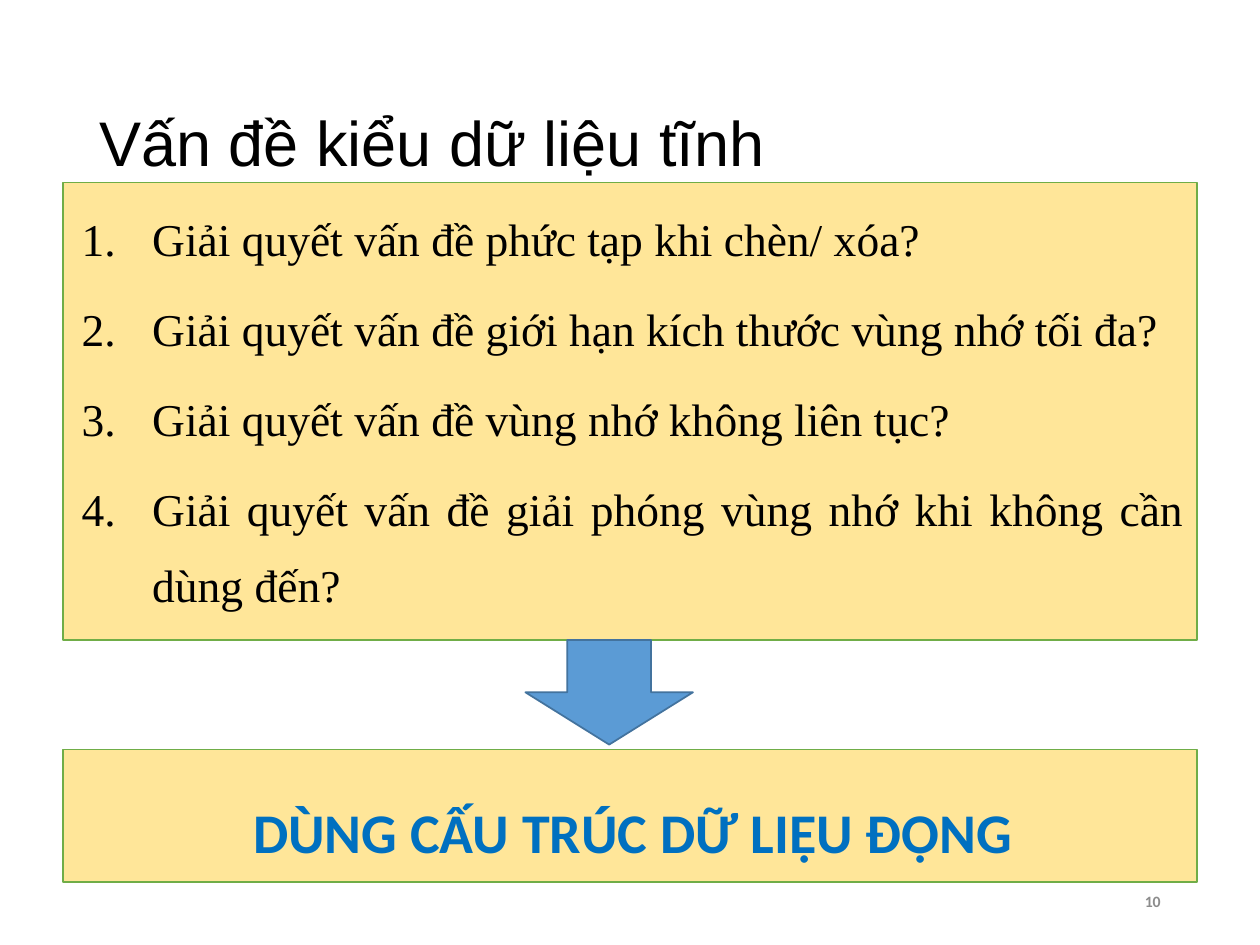
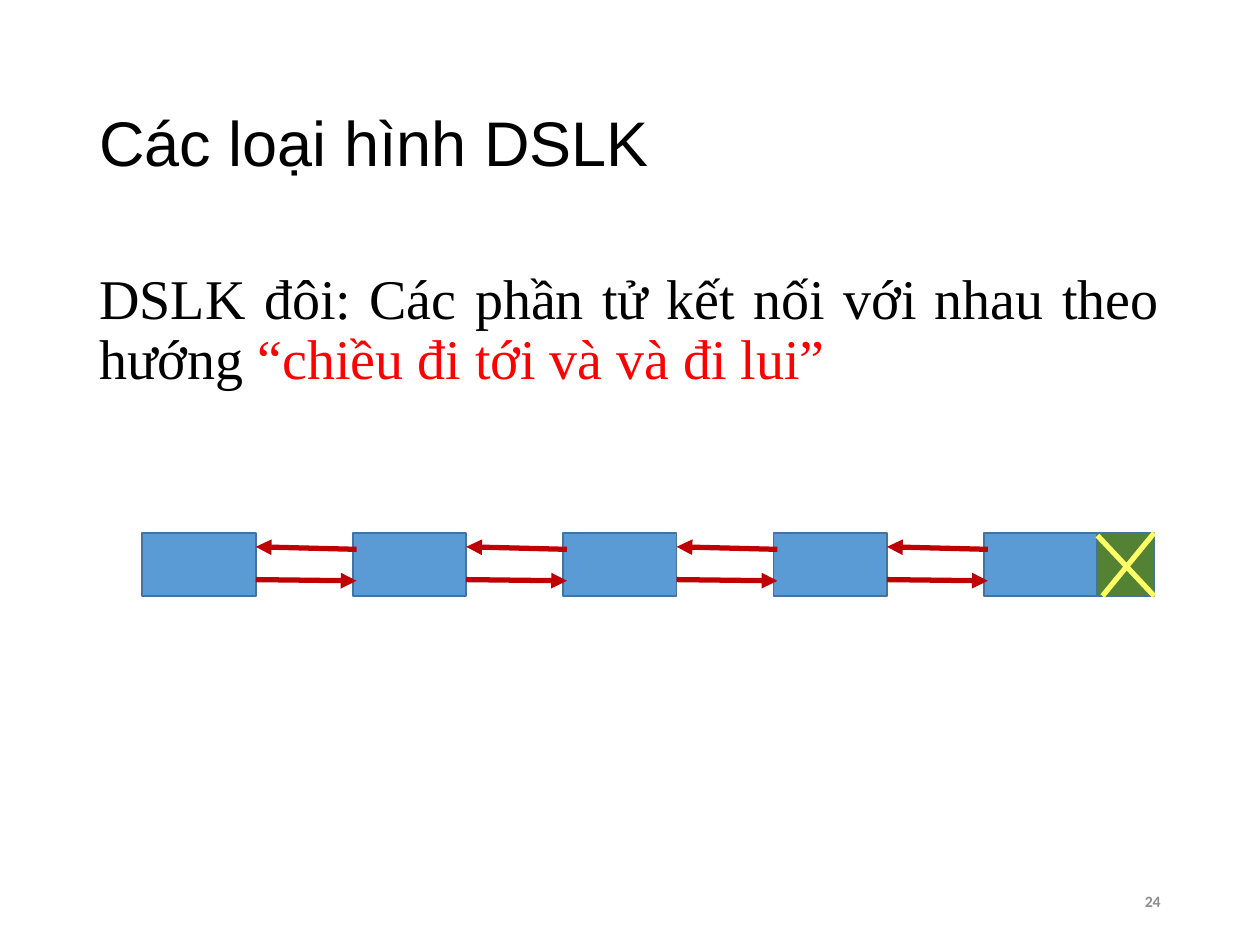
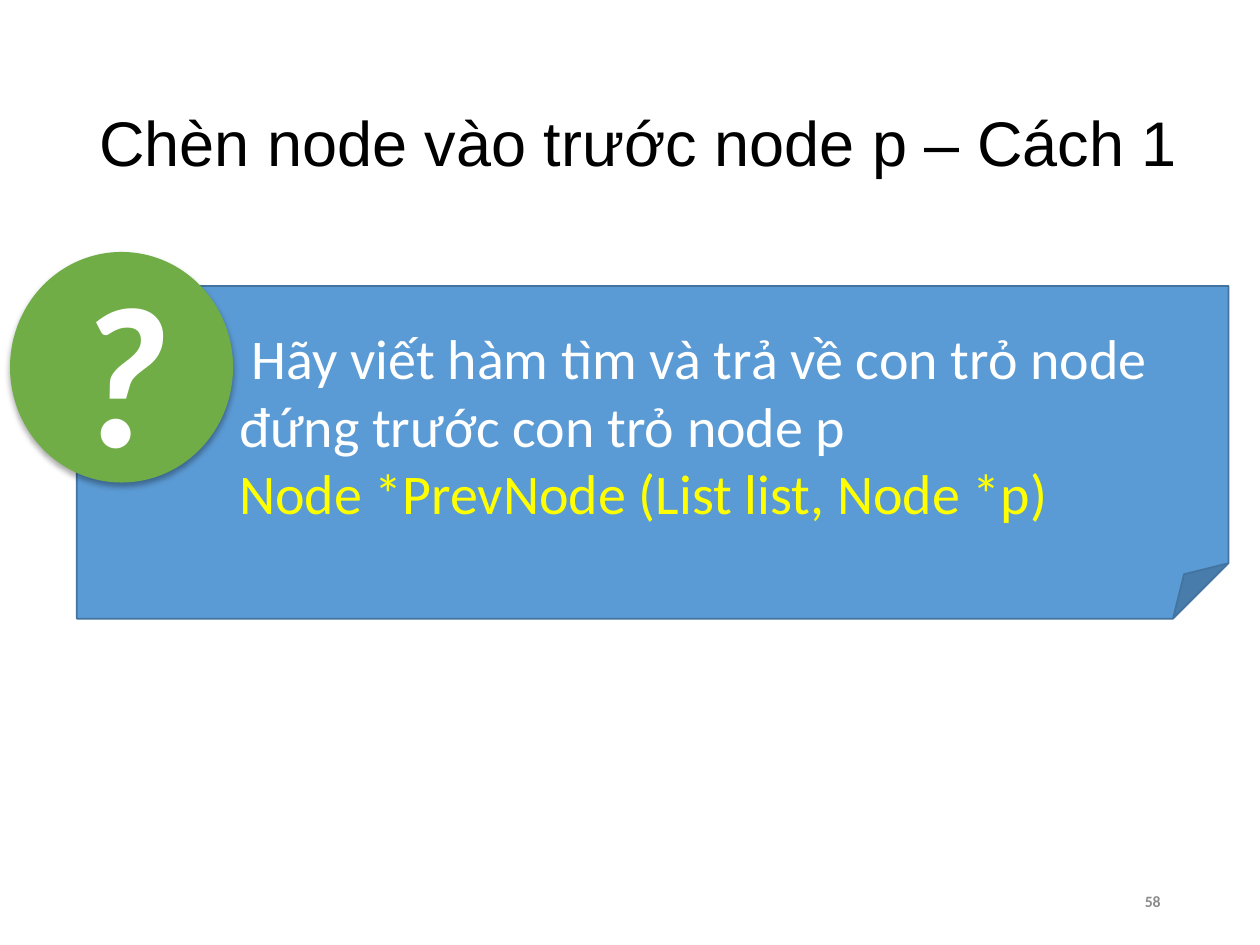
from lxml import etree
from pptx import Presentation
from pptx.dml.color import RGBColor
from pptx.enum.shapes import MSO_CONNECTOR, MSO_SHAPE
from pptx.enum.text import MSO_ANCHOR, PP_ALIGN
from pptx.oxml.ns import qn
from pptx.util import Inches, Pt

RECTANGLE, ELLIPSE = MSO_SHAPE.RECTANGLE, MSO_SHAPE.OVAL
DOWN_ARROW, FOLDED_CORNER = MSO_SHAPE.DOWN_ARROW, MSO_SHAPE.FOLDED_CORNER
STRAIGHT = MSO_CONNECTOR.STRAIGHT
TOP, MIDDLE = MSO_ANCHOR.TOP, MSO_ANCHOR.MIDDLE
LEFT, CENTER = PP_ALIGN.LEFT, PP_ALIGN.CENTER
RIGHT, JUSTIFY = PP_ALIGN.RIGHT, PP_ALIGN.JUSTIFY

BLACK = RGBColor(0x00, 0x00, 0x00)
WHITE = RGBColor(0xFF, 0xFF, 0xFF)
GRAY = RGBColor(0x8C, 0x8C, 0x8C)
SAND = RGBColor(0xFF, 0xE6, 0x99)
GREEN = RGBColor(0x70, 0xAD, 0x47)
DARK_GREEN = RGBColor(0x54, 0x82, 0x35)
BLUE = RGBColor(0x5B, 0x9B, 0xD5)
EDGE_BLUE = RGBColor(0x43, 0x73, 0x9E)
STRONG_BLUE = RGBColor(0x00, 0x70, 0xC0)
RED = RGBColor(0xFF, 0x00, 0x00)
DARK_RED = RGBColor(0xC0, 0x00, 0x00)
YELLOW = RGBColor(0xFF, 0xFF, 0x00)
PALE_YELLOW = RGBColor(0xFF, 0xFF, 0x66)

SANS, SERIF, TITLE_FONT = "Calibri", "Times New Roman", "Arial"

# The page is a grid of 10 columns by 7.5 rows.
COLUMNS, ROWS = 10, 7.5
SLIDE_WIDTH, SLIDE_HEIGHT = Inches(10), Inches(7.5)
MARGIN = 0.69
CONTENT_WIDTH = COLUMNS - 2 * MARGIN

QUESTIONS = [
    "Giải quyết vấn đề phức tạp khi chèn/ xóa?",
    "Giải quyết vấn đề giới hạn kích thước vùng nhớ tối đa?",
    "Giải quyết vấn đề vùng nhớ không liên tục?",
    "Giải quyết vấn đề giải phóng vùng nhớ khi không cần dùng đến?",
]


def across(columns):
    return round(SLIDE_WIDTH * columns / COLUMNS)


def down(rows):
    return round(SLIDE_HEIGHT * rows / ROWS)


def place(left, top, width, height):
    return across(left), down(top), across(width), down(height)


def add_box(shapes, area, anchor=TOP):
    box = shapes.add_textbox(*place(*area))
    box.text_frame.word_wrap = True
    box.text_frame.vertical_anchor = anchor
    return box


def add_block(shapes, kind, area, fill, edge=EDGE_BLUE, weight=1, anchor=MIDDLE):
    block = shapes.add_shape(kind, *place(*area))
    block.shadow.inherit = False
    block.fill.solid()
    block.fill.fore_color.rgb = fill
    if edge is None:
        block.line.fill.background()
    else:
        block.line.color.rgb = edge
        block.line.width = Pt(weight)
    block.text_frame.word_wrap = True
    block.text_frame.vertical_anchor = anchor
    return block


def add_line(shapes, start, end, color, arrow=None):
    """Draw a line; arrow is None, "headEnd" (at start) or "tailEnd" (at end)."""
    line = shapes.add_connector(STRAIGHT, across(start[0]), down(start[1]),
                                across(end[0]), down(end[1]))
    line.line.color.rgb = color
    line.line.width = Pt(3)
    properties = line._element.spPr
    if arrow:
        etree.SubElement(properties.find(qn("a:ln")), qn(f"a:{arrow}"), type="triangle")
    etree.SubElement(properties, qn("a:effectLst"))


def add_para(box, first, align=LEFT, spacing=None, before=0, indent=None, numbered=False):
    """Open a paragraph; indent is (left margin, first line offset) in columns."""
    frame = box.text_frame
    para = frame.paragraphs[0] if first else frame.add_paragraph()
    properties = para._p.get_or_add_pPr()
    if indent:
        properties.set("marL", str(across(indent[0])))
        properties.set("indent", str(across(indent[1])))
    if numbered:
        etree.SubElement(properties, qn("a:buAutoNum"), type="arabicPeriod")
    para.alignment = align
    if spacing:
        para.line_spacing = spacing
    if before and not first:
        para.space_before = Pt(before)
    return para


def add_span(para, text, size, color, font=SANS, bold=False, italic=False):
    span = para.add_run()
    span.text = text
    span.font.name = font
    span.font.size = Pt(size)
    span.font.color.rgb = color
    span.font.bold = bold
    span.font.italic = italic


def add_soft_shadow(shape):
    effects = shape._element.spPr.find(qn("a:effectLst"))
    shadow = etree.SubElement(effects, qn("a:outerShdw"), blurRad=str(Pt(3.5)),
                              dist=str(Pt(2.2)), dir="5400000", rotWithShape="0")
    color = etree.SubElement(shadow, qn("a:srgbClr"), val=str(BLACK))
    etree.SubElement(color, qn("a:alpha"), val="32000")


def add_page(deck, title, number, title_width=CONTENT_WIDTH):
    page = deck.slides.add_slide(deck.slide_layouts[6])
    heading = add_box(page.shapes, (MARGIN, 0.4, title_width, 1.45), MIDDLE)
    add_span(add_para(heading, True), title, 36, BLACK, TITLE_FONT)
    footer = add_box(page.shapes, (6.62, 6.95, 2.69, 0.4), MIDDLE)
    add_span(add_para(footer, True, RIGHT), str(number), 9, GRAY, bold=True)
    return page.shapes


def build_static_data_page(deck):
    shapes = add_page(deck, "Vấn đề kiểu dữ liệu tĩnh", 10)
    problems = add_block(shapes, RECTANGLE, (0.5, 1.45, 9, 3.63), SAND, GREEN, 0.75, TOP)
    for index, question in enumerate(QUESTIONS):
        para = add_para(problems, index == 0, JUSTIFY, 1.4, 7.8, (0.61, -0.56), True)
        add_span(para, question, 26, BLACK, SERIF)

    add_block(shapes, DOWN_ARROW, (4.17, 5.08, 1.33, 0.83), BLUE)
    answer = add_block(shapes, RECTANGLE, (0.5, 5.95, 9, 1.05), SAND, GREEN, 0.75, TOP)
    answer.text_frame.margin_top = down(0.38)
    para = add_para(answer, True, CENTER, indent=(0.05, 0))
    add_span(para, "DÙNG CẤU TRÚC DỮ LIỆU ĐỘNG", 32, STRONG_BLUE, bold=True)


def add_end_mark(shapes, left, top, width, height):
    """Draw the crossed cell that closes the list."""
    group = shapes.add_group_shape().shapes
    add_block(group, RECTANGLE, (left, top, width, height), DARK_GREEN)
    right, bottom = left + width, top + height
    add_line(group, (right, top), (left + 0.04, bottom), PALE_YELLOW)
    add_line(group, (left, top + 0.02), (right, bottom), PALE_YELLOW)


def build_double_list_page(deck):
    shapes = add_page(deck, "Các loại hình DSLK", 24)
    body = add_box(shapes, (MARGIN, 2.1, CONTENT_WIDTH, 1.4))
    para = add_para(body, True, JUSTIFY, 0.9)
    add_span(para, "DSLK đôi: Các phần tử kết nối với nhau theo hướng ", 32, BLACK, SERIF)
    add_span(para, "“chiều đi tới và và đi lui”", 32, RED, SERIF)

    node_count, node_width, node_height = 5, 0.9, 0.5
    node_top, node_step, arrow_length = 4.23, 1.67, 0.8
    lefts = [1.13 + node_step * index for index in range(node_count)]
    for left in lefts:
        add_block(shapes, RECTANGLE, (left, node_top, node_width, node_height), BLUE)
    for left in lefts[:-1]:
        start = left + node_width
        end = start + arrow_length
        add_line(shapes, (start, 4.6), (end, 4.61), DARK_RED, "tailEnd")
        add_line(shapes, (start, 4.34), (end, 4.36), DARK_RED, "headEnd")
    add_end_mark(shapes, lefts[-1] + node_width, node_top, node_width / 2, node_height)


def build_insert_page(deck):
    shapes = add_page(deck, "Chèn node vào trước node p – Cách 1", 58, 8.81)
    group = shapes.add_group_shape().shapes
    note = add_block(group, FOLDED_CORNER, (0.61, 2.27, 9.14, 2.64), BLUE)
    lines = [
        ("Hãy viết hàm tìm và trả về con trỏ node", WHITE, 0.1),
        ("đứng trước con trỏ node p", WHITE, 0),
        ("Node *PrevNode (List list, Node *p)", YELLOW, 0),
    ]
    for index, (text, color, offset) in enumerate(lines):
        para = add_para(note, index == 0, indent=(1.19, offset))
        add_span(para, text, 32, color)

    badge = add_block(group, ELLIPSE, (0.08, 2, 1.77, 1.83), GREEN, None)
    add_soft_shadow(badge)
    add_span(add_para(badge, True, CENTER), "?", 115, WHITE, bold=True, italic=True)


def main():
    deck = Presentation()
    deck.slide_width, deck.slide_height = SLIDE_WIDTH, SLIDE_HEIGHT
    build_static_data_page(deck)
    build_double_list_page(deck)
    build_insert_page(deck)
    deck.save("out.pptx")


if __name__ == "__main__":
    main()
